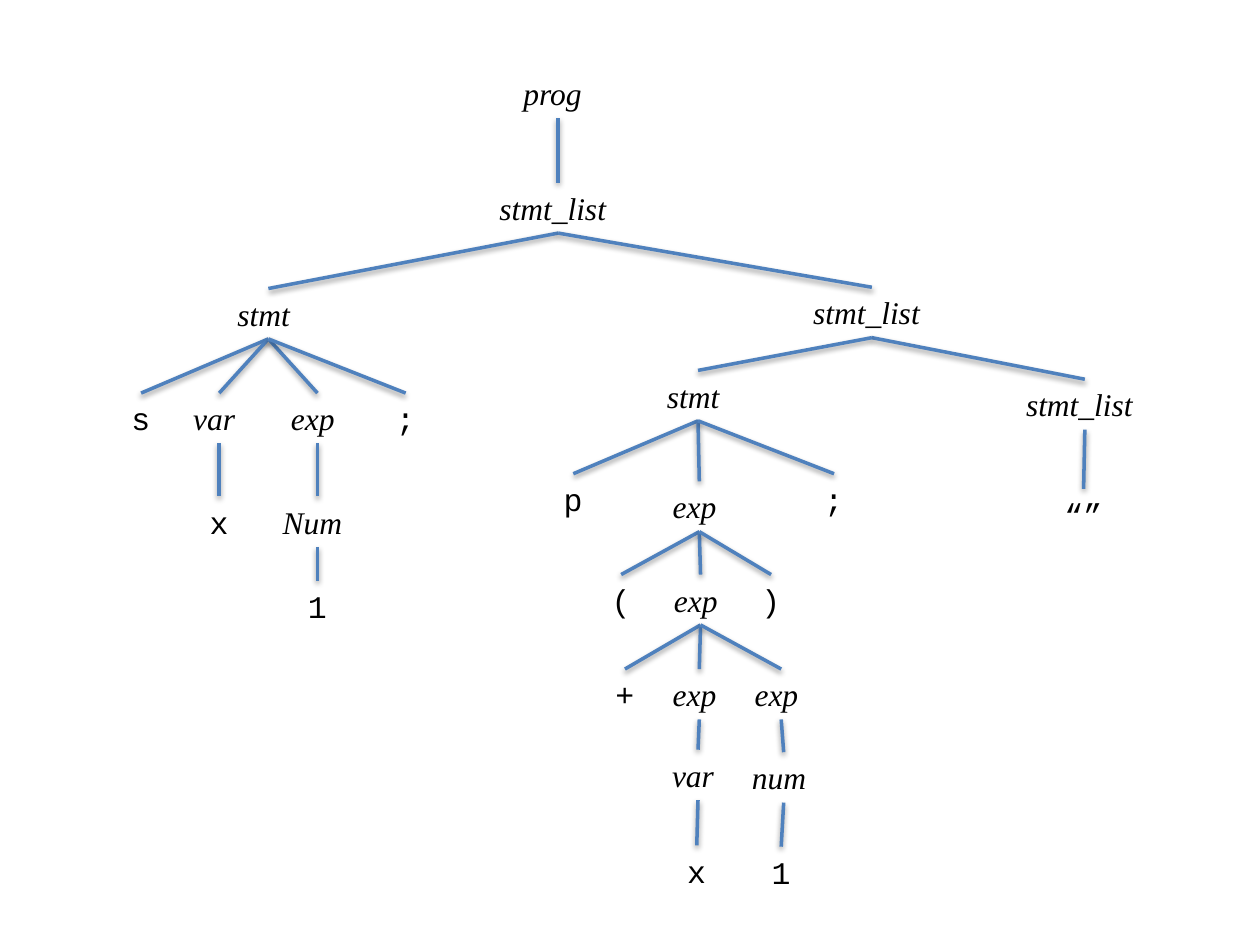
from lxml import etree
from pptx import Presentation
from pptx.dml.color import RGBColor
from pptx.enum.shapes import MSO_CONNECTOR
from pptx.enum.text import MSO_AUTO_SIZE as AutoSize
from pptx.oxml import parse_xml
from pptx.util import Inches, Pt

ROW_HEIGHT = 0.4
WIDTHS = {"prog": 0.75, "stmt_list": 1.13, "stmt": 0.69, "var": 0.61,
          "exp": 0.62, "Num": 0.75, "num": 0.7, "“”": 0.5}
TOKEN_WIDTH = 0.35
SHADOW = (
    '<a:effectLst xmlns:a="http://schemas.openxmlformats.org/drawingml/2006/main">'
    '<a:outerShdw blurRad="40000" dist="20000" dir="5400000" rotWithShape="0">'
    '<a:srgbClr val="000000"><a:alpha val="38000"/></a:srgbClr>'
    '</a:outerShdw></a:effectLst>')

# Parse tree: key, label, centre x, top, key of the parent
NODES = [
    ("prog", "prog", 4.43, 0.54, None),
    ("list1", "stmt_list", 4.43, 1.45, "prog"),
    # Assignment statement
    ("set", "stmt", 2.13, 2.29, "list1"),
    ("set_s", "s", 1.12, 3.12, "set"),
    ("set_var", "var", 1.74, 3.12, "set"),
    ("set_exp", "exp", 2.52, 3.12, "set"),
    ("set_end", ";", 3.22, 3.12, "set"),
    ("set_x", "x", 1.74, 3.94, "set_var"),
    ("set_num", "Num", 2.52, 3.94, "set_exp"),
    ("set_1", "1", 2.52, 4.61, "set_num"),
    # Rest of the list
    ("list2", "stmt_list", 6.92, 2.28, "list1"),
    ("list3", "stmt_list", 8.61, 3.01, "list2"),
    ("empty", "“”", 8.6, 3.88, "list3"),
    # Print statement
    ("print", "stmt", 5.54, 2.94, "list2"),
    ("print_p", "p", 4.55, 3.76, "print"),
    ("print_exp", "exp", 5.55, 3.82, "print"),
    ("print_end", ";", 6.62, 3.76, "print"),
    ("open", "(", 4.93, 4.56, "print_exp"),
    ("sum", "exp", 5.56, 4.56, "print_exp"),
    ("close", ")", 6.12, 4.56, "print_exp"),
    ("plus", "+", 4.96, 5.31, "sum"),
    ("left", "exp", 5.55, 5.31, "sum"),
    ("right", "exp", 6.2, 5.31, "sum"),
    ("left_var", "var", 5.54, 5.95, "left"),
    ("right_num", "num", 6.22, 5.97, "right"),
    ("left_x", "x", 5.53, 6.71, "left_var"),
    ("right_1", "1", 6.2, 6.72, "right_num"),
]


def color(value):
    return RGBColor.from_string(value)


deck = Presentation()
deck.slide_width, deck.slide_height = Inches(10), Inches(7.5)
page = deck.slides.add_slide(deck.slide_layouts[6])

places = {key: (center, top) for key, label, center, top, parent in NODES}
parents = {parent for key, label, center, top, parent in NODES}

for key, label, center, top, parent in NODES:
    # Branch from the parent's bottom edge
    if parent:
        parent_center, parent_top = places[parent]
        branch = page.shapes.add_connector(
            MSO_CONNECTOR.STRAIGHT,
            Inches(parent_center), Inches(parent_top + ROW_HEIGHT),
            Inches(center), Inches(top))
        branch.line.color.rgb = color("4F81BD")
        branch.line.width = Pt(2)
        branch._element.spPr.append(parse_xml(SHADOW))

    # Label: leaves are tokens, inner nodes are grammar symbols
    width = WIDTHS.get(label, TOKEN_WIDTH)
    box = page.shapes.add_textbox(Inches(center - width / 2), Inches(top),
                                  Inches(width), Inches(ROW_HEIGHT))
    box.text_frame.word_wrap = False
    box.text_frame.auto_size = AutoSize.SHAPE_TO_FIT_TEXT
    span = box.text_frame.paragraphs[0].add_run()
    span.text = label
    span.font.size = Pt(18)
    span.font.color.rgb = color("000000")
    if key in parents:
        span.font.name = "Times New Roman"
        span.font.italic = True
    else:
        span.font.name = "Courier New"

deck.save("out.pptx")
